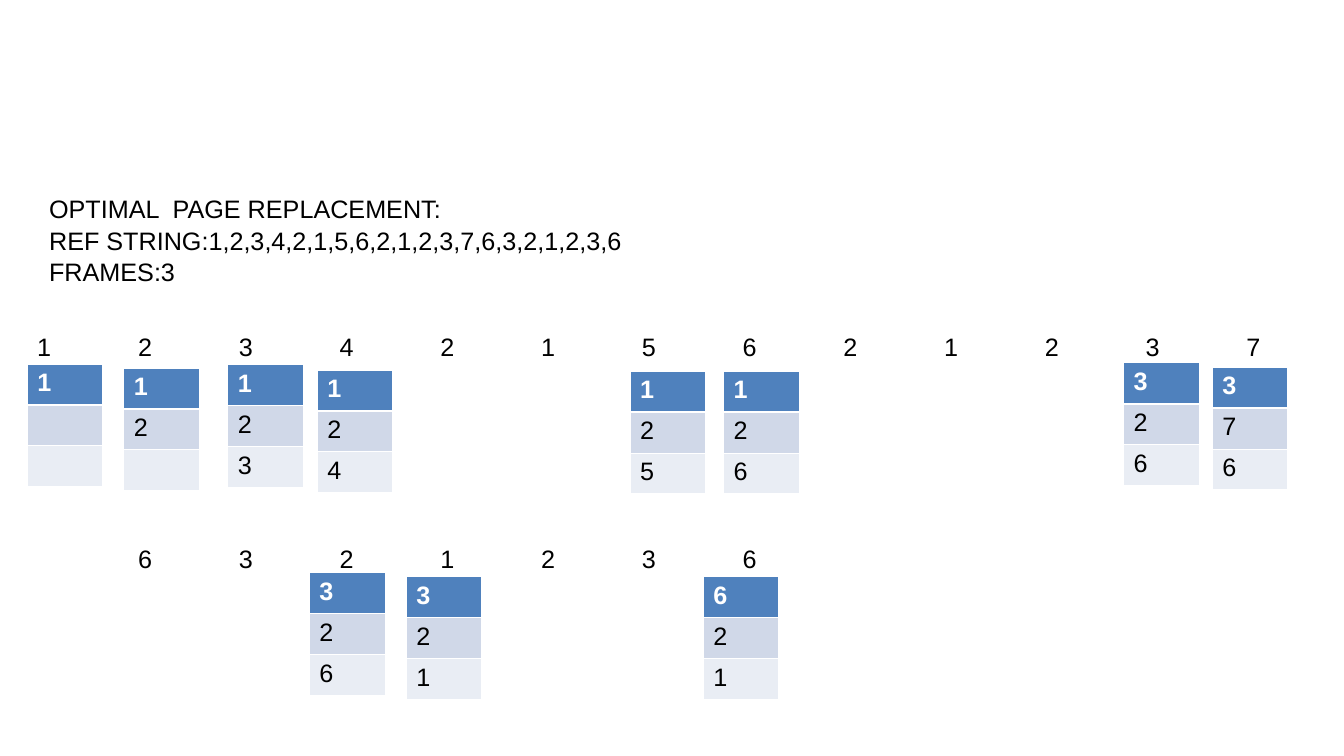
from lxml.etree import SubElement
from pptx import Presentation
from pptx.dml.color import RGBColor
from pptx.oxml.ns import qn
from pptx.util import Cm, Pt

FONT = {"name": "Arial", "size": Pt(18), "bold": False}
ROW_STYLES = (
    {"fill": "4F81BD", "color": "FFFFFF", "bold": True},
    {"fill": "D0D8E8", "color": "000000", "bold": False},
    {"fill": "E9EDF4", "color": "000000", "bold": False},
)
THIN, THICK = Pt(0.45), Pt(1.47)
TITLE = (
    "OPTIMAL  PAGE REPLACEMENT:",
    "REF STRING:1,2,3,4,2,1,5,6,2,1,2,3,7,6,3,2,1,2,3,6",
    "FRAMES:3",
)
REFERENCES = ("1\t2\t3\t4\t2\t1\t5\t6\t2\t1\t2\t3\t7", "\t6\t3\t2\t1\t2\t3\t6")
FRAMES = (
    (0.69, 9.17, ("1", "", "")),
    (3.12, 9.27, ("1", "2", "")),
    (5.74, 9.19, ("1", "2", "3")),
    (8, 9.32, ("1", "2", "4")),
    (15.88, 9.35, ("1", "2", "5")),
    (18.24, 9.35, ("1", "2", "6")),
    (28.32, 9.14, ("3", "2", "6")),
    (30.56, 9.25, ("3", "7", "6")),
    (7.8, 14.43, ("3", "2", "6")),
    (10.24, 14.53, ("3", "2", "1")),
    (17.73, 14.53, ("6", "2", "1")),
)


def rgb(color):
    """Turn a hex string into a colour."""
    return RGBColor.from_string(color)


def add_run(p, text, color="000000", **changes):
    """Add a run in the slide's font, with optional changes."""
    r = p.add_run()
    r.text = text
    for name, value in {**FONT, **changes}.items():
        setattr(r.font, name, value)
    r.font.color.rgb = rgb(color)


def add_tabs(p, count=12):
    """Give a paragraph evenly spaced left tab stops."""
    tabs = SubElement(p._p.get_or_add_pPr(), qn("a:tabLst"))
    for i in range(1, count + 1):
        SubElement(tabs, qn("a:tab"), pos=str(Cm(2.54 * i)), algn="l")


def add_text(s, box, lines, gap=0, tabbed=False):
    """Add a text box with one paragraph per line."""
    tf = s.shapes.add_textbox(*map(Cm, box)).text_frame
    tf.word_wrap = True
    for i, line in enumerate(lines):
        p = tf.add_paragraph() if i else tf.paragraphs[0]
        if tabbed:
            add_tabs(p)
        p.line_spacing = 1.04
        if i:
            p.space_before = Pt(gap)
        add_run(p, line)


def set_borders(cell, widths):
    """Draw white cell borders with the given width for each side."""
    tcPr = cell._tc.get_or_add_tcPr()
    for side, width in widths.items():
        ln = SubElement(tcPr, qn(f"a:ln{side}"), w=str(width))
        SubElement(SubElement(ln, qn("a:solidFill")), qn("a:srgbClr"), val="FFFFFF")


def add_frames(s, x, y, pages):
    """Add a one-column table of the pages held in the frames."""
    width, row_height = Cm(1.9), Cm(1.03)
    table = s.shapes.add_table(
        len(pages), 1, Cm(x), Cm(y), width, row_height * len(pages)
    ).table
    table.horz_banding = False
    for i, (page, style) in enumerate(zip(pages, ROW_STYLES)):
        cell = table.cell(i, 0)
        set_borders(cell, {
            "L": THIN,
            "R": THIN,
            "T": THICK if i == 1 else THIN,
            "B": THICK if i == 0 else THIN,
        })
        cell.fill.solid()
        cell.fill.fore_color.rgb = rgb(style["fill"])
        if page:
            add_run(cell.text_frame.paragraphs[0], page, style["color"], bold=style["bold"])


def main():
    """Build the page replacement slide."""
    prs = Presentation()
    prs.slide_width, prs.slide_height = Cm(33.88), Cm(19.05)
    s = prs.slides.add_slide(prs.slide_layouts[6])
    add_text(s, (0.69, 8.2, 33.17, 10.85), REFERENCES, gap=129, tabbed=True)
    add_text(s, (0.99, 4.72, 30.45, 2.87), TITLE)
    for x, y, pages in FRAMES:
        add_frames(s, x, y, pages)
    prs.save("out.pptx")


if __name__ == "__main__":
    main()
